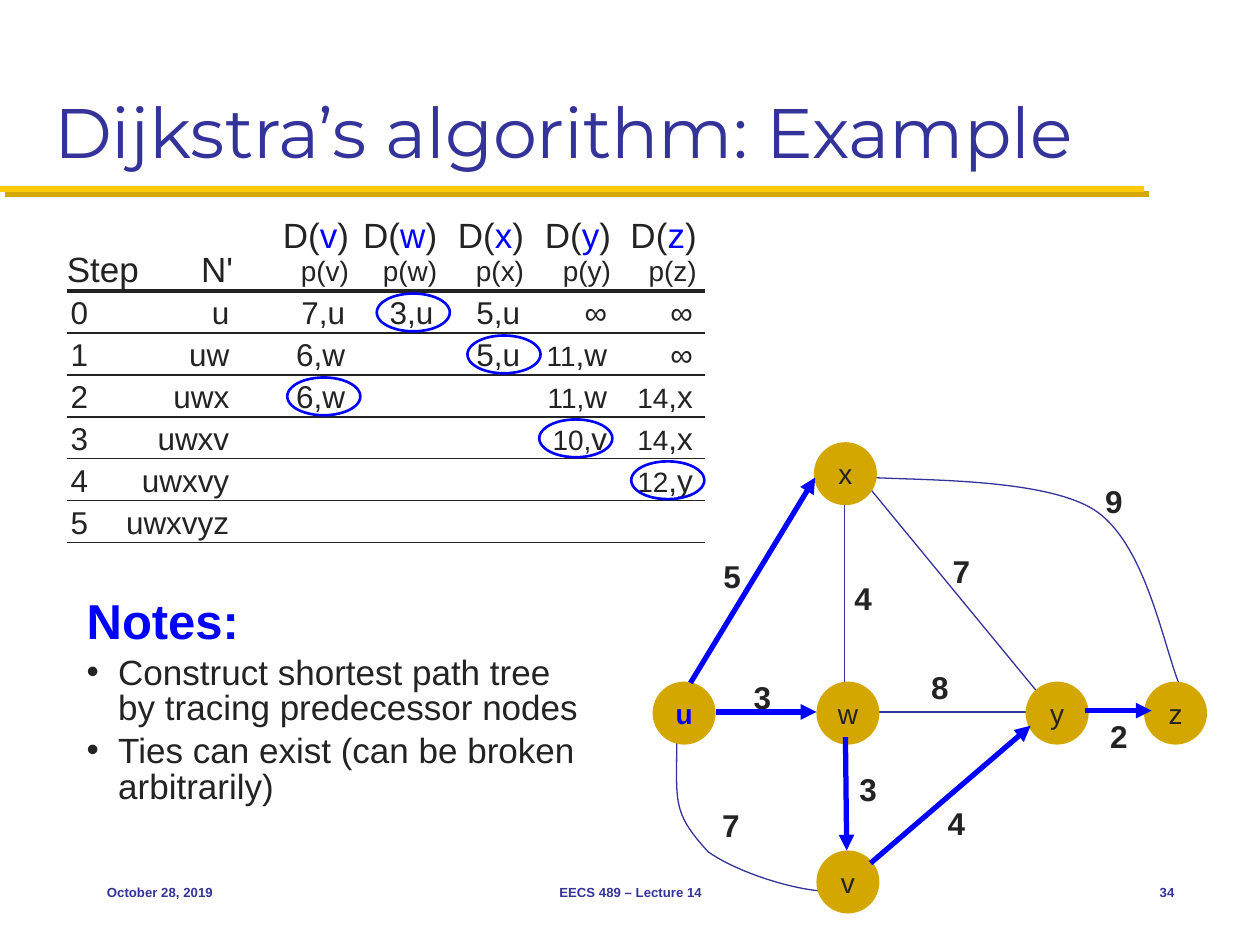
from dataclasses import dataclass

from lxml import etree
from pptx import Presentation
from pptx.dml.color import RGBColor
from pptx.enum.shapes import MSO_CONNECTOR, MSO_SHAPE
from pptx.enum.text import MSO_ANCHOR, MSO_AUTO_SIZE, PP_ALIGN
from pptx.oxml.ns import qn
from pptx.util import Cm, Pt

STRAIGHT, ELLIPSE = MSO_CONNECTOR.STRAIGHT, MSO_SHAPE.OVAL
LEFT, CENTER, RIGHT = PP_ALIGN.LEFT, PP_ALIGN.CENTER, PP_ALIGN.RIGHT
MIDDLE, BOTTOM, TOP = MSO_ANCHOR.MIDDLE, MSO_ANCHOR.BOTTOM, MSO_ANCHOR.TOP
COLORS = {"ink": "232323", "blue": "0000FF", "navy": "333399", "gold": "D3A600", "maize": "FFCB05"}
NO_GRID_STYLE = "{2D5ABB26-0587-4C30-8999-92F81FD0307C}"
NODE_SIZE = 0.5
TABLE_LEFT, HEADER_TOP, BODY_TOP, ROW_HEIGHT = 0.53, 1.65, 2.31, 0.333
# The second grid column belongs to "Step" in the header and to N' in the body.
COLUMN_EDGES = [0.93, 1.2, 1.92, 2.84, 3.54, 4.23, 4.92, 5.6]


@dataclass
class Label:
    text: str
    left: float
    top: float


@dataclass
class Edge:
    start: tuple[float, float]
    end: tuple[float, float]


@dataclass
class Footer:
    text: str
    left: float
    width: float
    align: PP_ALIGN


NODES = [Label("x", 6.46, 3.51), Label("u", 5.18, 5.41), Label("z", 9.08, 5.41),
         Label("v", 6.48, 6.75), Label("y", 8.14, 5.41), Label("w", 6.48, 5.41)]
COSTS = [Label("3", 5.88, 5.33), Label("4", 6.68, 4.55), Label("5", 5.64, 4.37),
         Label("3", 6.72, 6.06), Label("7", 5.63, 6.35), Label("4", 7.42, 6.33),
         Label("8", 7.29, 5.25), Label("2", 8.71, 5.64), Label("7", 7.46, 4.33),
         Label("9", 8.67, 3.78)]
PLAIN_EDGES = [Edge((6.7, 3.9), (6.7, 5.47)), Edge((6.8, 3.75), (8.33, 5.61)),
               Edge((6.96, 5.65), (8.16, 5.65))]
TREE_EDGES = [Edge((8.61, 5.64), (9.14, 5.64)), Edge((6.91, 6.85), (8.18, 5.76)),
              Edge((6.71, 5.85), (6.72, 6.75)), Edge((5.48, 5.42), (6.47, 3.79)),
              Edge((5.68, 5.65), (6.48, 5.65))]
CURVED_EDGES = [
    [(5.37, 5.77), (5.38, 6.36), (5.31, 6.42), (5.62, 6.76), (5.93, 6.98), (6.64, 7.16), (6.73, 7.03)],
    [(6.8, 3.78), (7.11, 3.82), (8.26, 3.77), (8.69, 4.05), (9.11, 4.33), (9.24, 5.18), (9.38, 5.48)],
]
HEADINGS = ["Step", "", "N'", "v", "w", "x", "y", "z"]
# The part of a cell before a bar is set in the smaller size.
STEPS = [
    ["0", "u", "", "7,u", "3,u", "5,u", "∞", "∞"],
    ["1", "uw", "", "6,w", "", "5,u", "11|,w", "∞"],
    ["2", "uwx", "", "6,w", "", "", "11,|w", "14|,x"],
    ["3", "uwxv", "", "", "", "", "10,|v", "14|,x"],
    ["4", "uwxvy", "", "", "", "", "", "12|,y"],
    ["5", "uwxvyz", "", "", "", "", "", ""],
]
CHOSEN_LEFTS = [2.99, 3.71, 2.28, 4.28, 5.01]
NOTES = ["Construct shortest path tree by tracing predecessor nodes",
         "Ties can exist (can be broken arbitrarily)"]
FOOTERS = [Footer("October 28, 2019", 0.75, 2.08, LEFT),
           Footer("EECS 489 – Lecture 14", 3.42, 3.17, CENTER),
           Footer("34", 8.75, 0.67, RIGHT)]


def inches(value: float) -> Cm:
    return Cm(value * 2.54)


def rgb(name: str) -> RGBColor:
    return RGBColor.from_string(COLORS[name])


def write(paragraph, text: str, size=18, color="ink", bold=False, font="Arial", align=LEFT):
    """Append a formatted run to the paragraph."""
    paragraph.alignment = align
    run = paragraph.add_run()
    run.text = text
    run.font.size, run.font.bold, run.font.name = Pt(size), bold, font
    run.font.color.rgb = rgb(color)


def add_box(slide, left, top, width, height, wrap=False, anchor=TOP):
    frame = slide.shapes.add_textbox(*map(inches, (left, top, width, height))).text_frame
    frame.word_wrap, frame.vertical_anchor = wrap, anchor
    return frame


def add_line(slide, edge: Edge, color: str, width: float, arrow=False):
    """Draw a straight line and return its empty effect list."""
    line = slide.shapes.add_connector(STRAIGHT, *map(inches, (*edge.start, *edge.end)))
    line.line.color.rgb, line.line.width = rgb(color), Pt(width)
    properties = line._element.spPr
    if arrow:
        etree.SubElement(properties.find(qn("a:ln")), qn("a:tailEnd"), type="triangle")
    return etree.SubElement(properties, qn("a:effectLst"))


def add_curve(slide, points: list[tuple[float, float]]):
    """Draw cubic curves through a start point and triples of control points."""
    points = [(inches(x), inches(y)) for x, y in points]
    builder = slide.shapes.build_freeform(*points[0])
    builder.add_line_segments(points[1:], close=False)
    shape = builder.convert_to_shape()
    shape.shadow.inherit = False
    shape.fill.background()
    shape.line.color.rgb, shape.line.width = rgb("navy"), Pt(0.75)
    outline = shape._element.find(".//" + qn("a:path"))
    segments = outline.findall(qn("a:lnTo"))
    for start in range(0, len(segments), 3):
        curve = etree.SubElement(outline, qn("a:cubicBezTo"))
        for segment in segments[start:start + 3]:
            curve.append(segment[0])
            outline.remove(segment)


def add_ellipse(slide, left, top, width, height):
    shape = slide.shapes.add_shape(ELLIPSE, *map(inches, (left, top, width, height)))
    shape.shadow.inherit = False
    return shape


def add_node(slide, node: Label):
    shape = add_ellipse(slide, node.left, node.top, NODE_SIZE, NODE_SIZE)
    shape.fill.solid()
    shape.fill.fore_color.rgb = rgb("gold")
    shape.line.fill.background()
    frame = shape.text_frame
    frame.word_wrap, frame.vertical_anchor = False, MIDDLE
    source = node.text == "u"
    write(frame.paragraphs[0], node.text, size=16, bold=source,
          color="blue" if source else "ink", align=CENTER)


def format_cell(cell, anchor, left=0.0, right=0.0, top=0.0, bottom=0.0, border=1.0):
    cell.vertical_anchor = anchor
    cell.margin_left, cell.margin_right = inches(left), inches(right)
    cell.margin_top, cell.margin_bottom = inches(top), inches(bottom)
    cell.fill.background()
    properties = cell._tc.get_or_add_tcPr()
    line = etree.Element(qn("a:lnB"), w=str(Pt(border)))
    fill = etree.SubElement(line, qn("a:solidFill"))
    etree.SubElement(fill, qn("a:srgbClr"), val=COLORS["ink"])
    properties.insert(0, line)


def add_step_table(slide):
    frame = slide.shapes.add_table(
        len(STEPS) + 1, len(COLUMN_EDGES), inches(TABLE_LEFT), inches(HEADER_TOP),
        inches(COLUMN_EDGES[-1] - TABLE_LEFT), inches(BODY_TOP - HEADER_TOP + ROW_HEIGHT * len(STEPS)))
    table = frame.table
    table.first_row = table.horz_banding = False
    table._tbl.tblPr.find(qn("a:tableStyleId")).text = NO_GRID_STYLE
    for column, start, end in zip(table.columns, [TABLE_LEFT, *COLUMN_EDGES], COLUMN_EDGES):
        column.width = inches(end - start)
    for index, row in enumerate(table.rows):
        row.height = inches(ROW_HEIGHT if index else BODY_TOP - HEADER_TOP)
        first = 1 if index else 0
        table.cell(index, first).merge(table.cell(index, first + 1))
    for index, heading in enumerate(HEADINGS):
        cell = table.cell(0, index)
        plain = index < 3
        format_cell(cell, BOTTOM, right=0.07, bottom=0.01 if plain else 0.03, border=2.25)
        paragraph = cell.text_frame.paragraphs[0]
        if plain:
            if heading:
                write(paragraph, heading, size=20, align=RIGHT if index else LEFT)
            continue
        for text, color in (("D(", "ink"), (heading, "blue"), (")", "ink")):
            write(paragraph, text, size=20, color=color, align=RIGHT)
        write(cell.text_frame.add_paragraph(), f"p({heading})", size=16, align=RIGHT)
    for row, values in enumerate(STEPS, start=1):
        for column, value in enumerate(values):
            cell = table.cell(row, column)
            format_cell(cell, MIDDLE, left=0.03, right=0.1, top=0.03)
            small, _, normal = value.rpartition("|")
            for text, size in ((small, 16), (normal, 18)):
                if text:
                    write(cell.text_frame.paragraphs[0], text, size=size, align=RIGHT if column else LEFT)


def add_notes(slide):
    frame = add_box(slide, 0.59, 4.71, 4.17, 2.1, wrap=True)
    heading = frame.paragraphs[0]
    heading.line_spacing = 0.85
    write(heading, "Notes:", size=28, color="blue", bold=True)
    for note in NOTES:
        paragraph = frame.add_paragraph()
        paragraph.line_spacing, paragraph.space_before = 0.85, Pt(4)
        properties = paragraph._p.get_or_add_pPr()
        properties.set("marL", str(inches(0.25)))
        properties.set("indent", str(-inches(0.25)))
        etree.SubElement(properties, qn("a:buFont"), typeface="Arial")
        etree.SubElement(properties, qn("a:buChar"), char="•")
        write(paragraph, note, size=20)


def add_title(slide):
    title = slide.shapes.title
    title.left, title.top, title.width, title.height = map(inches, (0.33, 0.17, 9.33, 1.25))
    frame = title.text_frame
    frame.auto_size, frame.vertical_anchor = MSO_AUTO_SIZE.NONE, BOTTOM
    write(frame.paragraphs[0], "Dijkstra’s algorithm: Example", size=40, color="navy", font="Montserrat")
    effects = add_line(slide, Edge((0, 1.5), (9.08, 1.5)), "maize", 3.5)
    shadow = etree.SubElement(effects, qn("a:outerShdw"), dist=str(Pt(4.2)), dir="2700000")
    etree.SubElement(shadow, qn("a:srgbClr"), val=COLORS["gold"])


def main():
    presentation = Presentation()
    presentation.slide_width, presentation.slide_height = inches(10), inches(7.5)
    slide = presentation.slides.add_slide(presentation.slide_layouts[5])
    add_title(slide)
    for edge in PLAIN_EDGES:
        add_line(slide, edge, "navy", 0.75)
    for points in CURVED_EDGES:
        add_curve(slide, points)
    for node in NODES:
        add_node(slide, node)
    for cost in COSTS:
        frame = add_box(slide, cost.left, cost.top, 0.34, 0.4)
        write(frame.paragraphs[0], cost.text, bold=True, align=CENTER)
    add_step_table(slide)
    for row, left in enumerate(CHOSEN_LEFTS):
        ring = add_ellipse(slide, left, BODY_TOP + 0.02 + row * ROW_HEIGHT, 0.58, 0.3)
        ring.fill.background()
        ring.line.color.rgb, ring.line.width = rgb("blue"), Pt(1.5)
    add_notes(slide)
    for edge in TREE_EDGES:
        add_line(slide, edge, "blue", 3, arrow=True)
    for footer in FOOTERS:
        frame = add_box(slide, footer.left, 6.83, footer.width, 0.5, anchor=MIDDLE)
        write(frame.paragraphs[0], footer.text, size=7.5, color="navy", bold=True, align=footer.align)
    presentation.save("out.pptx")


if __name__ == "__main__":
    main()
